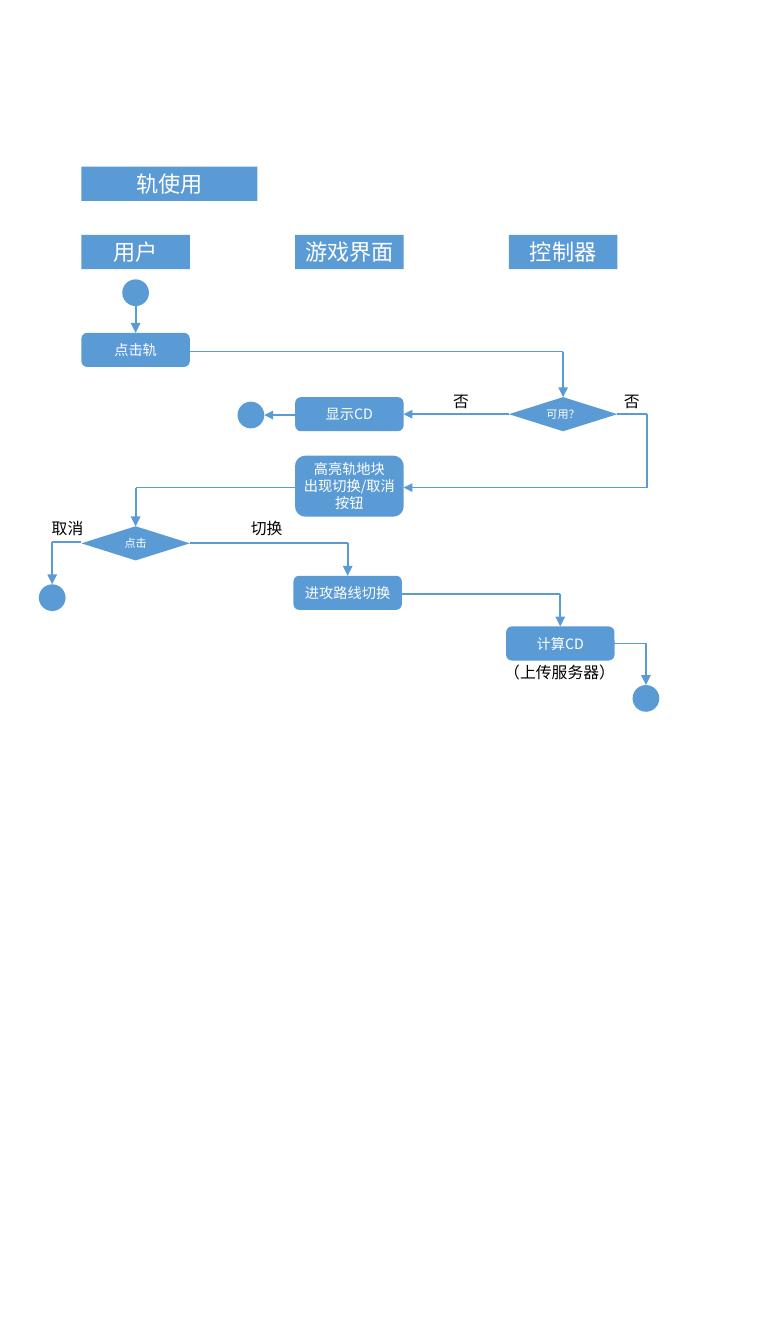
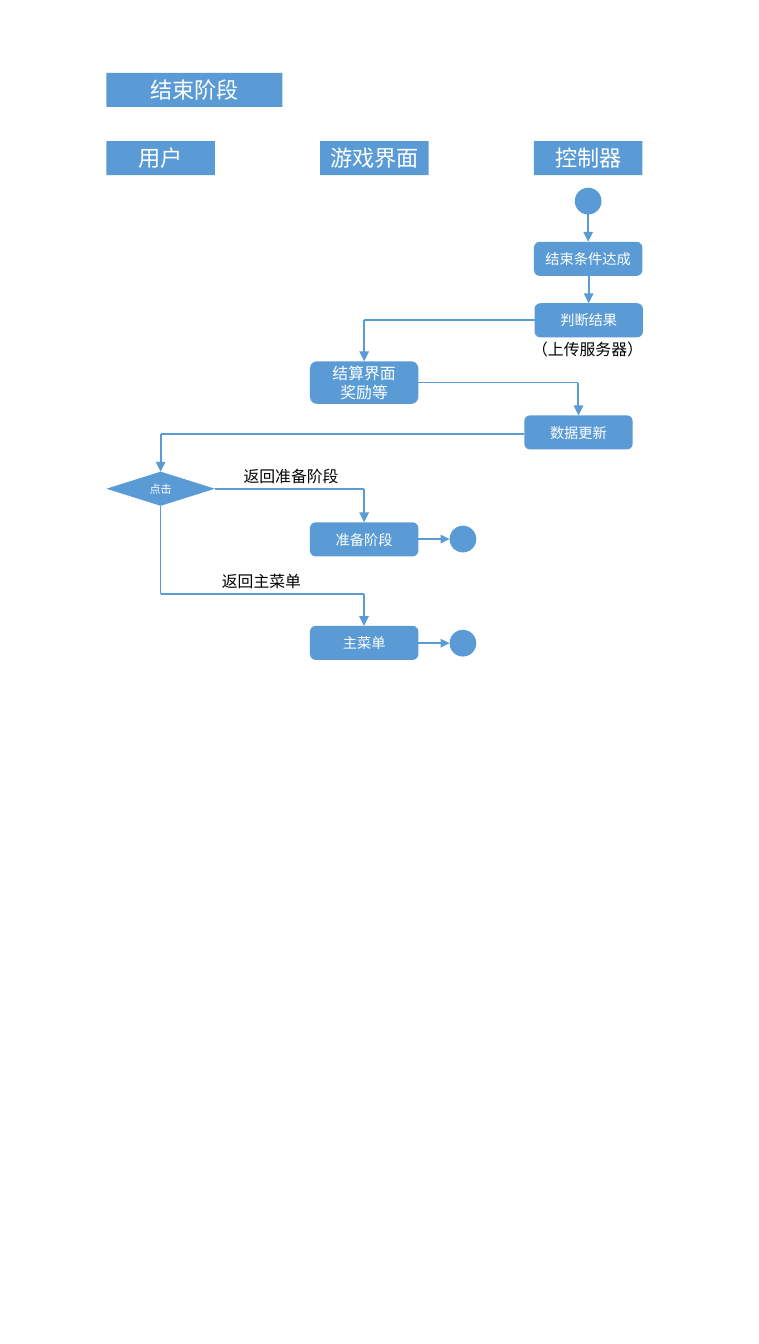
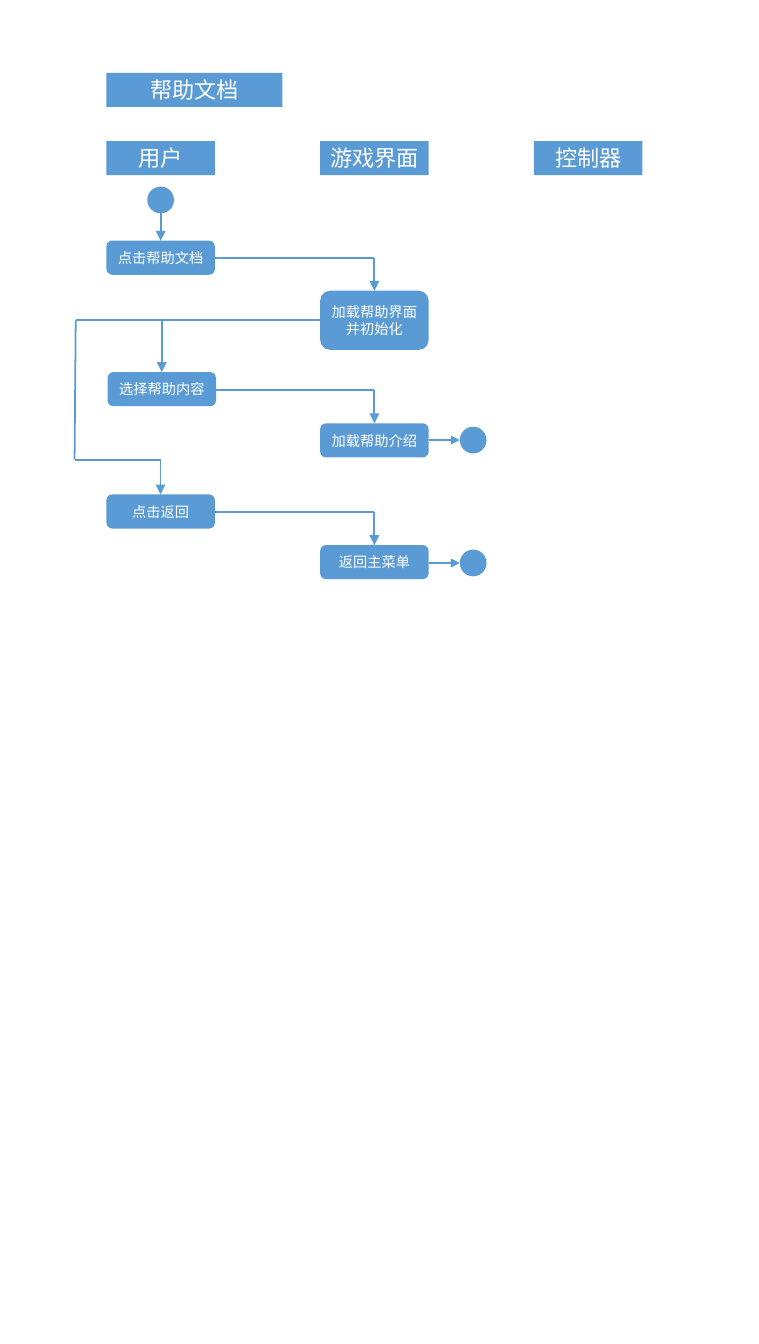
"""Draw three swimlane flow charts on a half-inch grid."""
from dataclasses import dataclass
from typing import NamedTuple, Optional

import lxml.etree
import pptx
import pptx.dml.color
import pptx.enum.shapes
import pptx.enum.text
import pptx.oxml.ns
import pptx.util

Shape = pptx.enum.shapes.MSO_SHAPE
Align = pptx.enum.text.PP_ALIGN
Anchor = pptx.enum.text.MSO_ANCHOR
qn = pptx.oxml.ns.qn


@dataclass(frozen=True)
class Theme:
    font: str = "Noto Sans CJK SC"
    blue: str = "5B9BD5"
    white: str = "FFFFFF"
    black: str = "000000"
    head: float = 28
    note: float = 20
    body: float = 18
    small: float = 14
    line: float = 2.25
    drop: float = 2.5


@dataclass(frozen=True)
class Grid:
    wide: pptx.util.Length = pptx.util.Pt(960)
    tall: pptx.util.Length = pptx.util.Cm(60)
    cell: float = 0.5
    lane: float = 3.81
    pitch: float = 7.51
    row: float = 1.2
    title: float = 6.18
    dot: float = 0.94


THEME = Theme()
GRID = Grid()


class Point(NamedTuple):
    x: float
    y: float


class Spot(NamedTuple):
    x: float
    y: float
    w: float
    h: float


@dataclass(frozen=True)
class Node:
    kind: str
    lane: int
    mid: float
    text: str = ""
    shift: float = 0
    tall: float = GRID.row
    size: float = THEME.body


@dataclass(frozen=True)
class Link:
    start: str
    end: str
    level: Optional[float] = None
    via: tuple[Point, ...] = ()


class Note(NamedTuple):
    left: float
    top: float
    text: str


@dataclass(frozen=True)
class Flow:
    title: str
    left: float
    top: float
    nodes: dict[str, Node]
    links: list[Link]
    notes: list[Note]


LANES = ("用户", "游戏界面", "控制器")
KINDS = {
    "box": Shape.ROUNDED_RECTANGLE,
    "choice": Shape.FLOWCHART_DECISION,
    "dot": Shape.OVAL,
}


def cells(count: float) -> pptx.util.Length:
    return pptx.util.Inches(count * GRID.cell)


def tint(code: str) -> pptx.dml.color.RGBColor:
    return pptx.dml.color.RGBColor.from_string(code)


def write(frame, text: str, *, size: float, color: str = THEME.white,
          align=Align.CENTER, anchor=Anchor.MIDDLE, wrap: bool = True) -> None:
    frame.word_wrap = wrap
    frame.vertical_anchor = anchor
    for turn, part in enumerate(text.split("\n")):
        para = frame.add_paragraph() if turn else frame.paragraphs[0]
        para.alignment = align
        run = para.add_run()
        run.text = part
        run.font.size = pptx.util.Pt(size)
        run.font.color.rgb = tint(color)
        run.font.name = THEME.font
        east = lxml.etree.SubElement(run.font._element, qn("a:ea"))
        east.set("typeface", THEME.font)


def block(slide, kind, spot: Spot, text: str = "", size: float = THEME.head) -> None:
    shape = slide.shapes.add_shape(
        kind, cells(spot.x - spot.w / 2), cells(spot.y - spot.h / 2),
        cells(spot.w), cells(spot.h))
    shape.shadow.inherit = False
    shape.fill.solid()
    shape.fill.fore_color.rgb = tint(THEME.blue)
    shape.line.fill.background()
    if text:
        write(shape.text_frame, text, size=size)


def stroke(slide, start: Point, end: Point, tip: bool) -> None:
    line = slide.shapes.add_connector(
        pptx.enum.shapes.MSO_CONNECTOR.STRAIGHT,
        cells(start.x), cells(start.y), cells(end.x), cells(end.y))
    line.line.color.rgb = tint(THEME.blue)
    drop = tip and start.x == end.x
    line.line.width = pptx.util.Pt(THEME.drop if drop else THEME.line)
    if tip:
        lxml.etree.SubElement(line.line._get_or_add_ln(), qn("a:tailEnd"),
                              type="triangle", w="lg", len="lg")
    lxml.etree.SubElement(line._element.spPr, qn("a:effectLst"))


def center(flow: Flow, lane: int) -> float:
    return flow.left + GRID.lane / 2 + lane * GRID.pitch


def place(flow: Flow, node: Node) -> Spot:
    wide, tall = (GRID.dot, GRID.dot) if node.kind == "dot" else (GRID.lane, node.tall)
    return Spot(center(flow, node.lane) + node.shift, node.mid, wide, tall)


def edge(spot: Spot, goal: Point) -> Point:
    if abs(goal.x - spot.x) < spot.w / 2:
        side = spot.h / 2 if goal.y > spot.y else -spot.h / 2
        return Point(goal.x, spot.y + side)
    side = spot.w / 2 if goal.x > spot.x else -spot.w / 2
    return Point(spot.x + side, goal.y)


def route(link: Link, start: Spot, end: Spot) -> list[Point]:
    via = list(link.via)
    bent = abs(end.x - start.x) > GRID.lane / 2 and abs(end.y - start.y) > 1
    if not via and bent:
        via = [Point(end.x, start.y if link.level is None else link.level)]
    first = edge(start, via[0] if via else Point(end.x, end.y))
    last = edge(end, via[-1] if via else first)
    return [first, *via, last]


def label(slide, note: Note) -> None:
    box = slide.shapes.add_textbox(
        cells(note.left), cells(note.top),
        cells(0.4 + 0.56 * len(note.text)), cells(0.88))
    write(box.text_frame, note.text, size=THEME.note, color=THEME.black,
          align=Align.LEFT, anchor=Anchor.TOP, wrap=False)


def heads(slide, flow: Flow) -> None:
    mid = flow.top + GRID.row / 2
    block(slide, Shape.RECTANGLE,
          Spot(flow.left + GRID.title / 2, mid, GRID.title, GRID.row), flow.title)
    for lane, name in enumerate(LANES):
        block(slide, Shape.RECTANGLE,
              Spot(center(flow, lane), mid + 2 * GRID.row, GRID.lane, GRID.row), name)


def draw(deck, flow: Flow) -> None:
    slide = deck.slides.add_slide(deck.slide_layouts[6])
    heads(slide, flow)
    spots = {name: place(flow, node) for name, node in flow.nodes.items()}
    for name, node in flow.nodes.items():
        block(slide, KINDS[node.kind], spots[name], node.text, node.size)
    for link in flow.links:
        stops = route(link, spots[link.start], spots[link.end])
        for turn in range(len(stops) - 1):
            stroke(slide, stops[turn], stops[turn + 1], turn == len(stops) - 2)
    for note in flow.notes:
        label(slide, note)


TRACK = Flow(
    "轨使用", 2.86, 5.86,
    {
        "start": Node("dot", 0, 10.29),
        "tap": Node("box", 0, 12.3, "点击轨"),
        "free": Node("choice", 2, 14.56, "可用？", size=THEME.small),
        "show": Node("box", 1, 14.56, "显示CD"),
        "wait": Node("dot", 1, 14.59, shift=-3.46),
        "light": Node("box", 1, 17.09, "高亮轨地块\n出现切换/取消按钮", tall=2.14),
        "click": Node("choice", 0, 19.1, "点击", size=THEME.small),
        "quit": Node("dot", 0, 21.01, shift=-2.93),
        "swap": Node("box", 1, 20.84, "进攻路线切换", shift=-0.06),
        "count": Node("box", 2, 22.62, "计算CD", shift=-0.1),
        "end": Node("dot", 2, 24.55, shift=2.91),
    },
    [
        Link("start", "tap"),
        Link("tap", "free", 12.36),
        Link("free", "show"),
        Link("show", "wait"),
        Link("free", "light", via=(Point(22.74, 14.56), Point(22.74, 17.14))),
        Link("light", "click", 17.14),
        Link("click", "quit", 19.06),
        Link("click", "swap", 19.08),
        Link("swap", "count", 20.88),
        Link("count", "end"),
    ],
    [
        Note(15.72, 13.68, "否"),
        Note(21.72, 13.68, "否"),
        Note(1.62, 18.12, "取消"),
        Note(8.62, 18.14, "切换"),
        Note(17.52, 23.2, "（上传服务器）"),
    ],
)

FINISH = Flow(
    "结束阶段", 3.74, 2.56,
    {
        "start": Node("dot", 2, 7.07),
        "done": Node("box", 2, 9.1, "结束条件达成"),
        "judge": Node("box", 2, 11.26, "判断结果", shift=0.02),
        "award": Node("box", 1, 13.45, "结算界面\n奖励等", -0.36, 1.5, THEME.note),
        "update": Node("box", 2, 15.2, "数据更新", shift=-0.34),
        "click": Node("choice", 0, 17.18, "点击", size=THEME.small),
        "ready": Node("box", 1, 18.96, "准备阶段", shift=-0.36),
        "next": Node("dot", 1, 18.95, shift=3.11),
        "menu": Node("box", 1, 22.6, "主菜单", shift=-0.36),
        "end": Node("dot", 1, 22.61, shift=3.11),
    },
    [
        Link("start", "done"),
        Link("done", "judge"),
        Link("judge", "award"),
        Link("award", "update"),
        Link("update", "click", 15.26),
        Link("click", "ready", 17.2),
        Link("ready", "next"),
        Link("click", "menu", via=(Point(5.64, 20.88), Point(12.79, 20.88))),
        Link("menu", "end"),
    ],
    [
        Note(18.5, 11.84, "（上传服务器）"),
        Note(8.36, 16.3, "返回准备阶段"),
        Note(7.6, 20, "返回主菜单"),
    ],
)

HELP = Flow(
    "帮助文档", 3.74, 2.56,
    {
        "start": Node("dot", 0, 7.03),
        "open": Node("box", 0, 9.06, "点击帮助文档"),
        "load": Node("box", 1, 11.26, "加载帮助界面并初始化", tall=2.08),
        "pick": Node("box", 0, 13.68, "选择帮助内容", shift=0.04),
        "intro": Node("box", 1, 15.48, "加载帮助介绍"),
        "stop": Node("dot", 1, 15.47, shift=3.47),
        "back": Node("box", 0, 17.98, "点击返回"),
        "menu": Node("box", 1, 19.76, "返回主菜单"),
        "end": Node("dot", 1, 19.79, shift=3.47),
    },
    [
        Link("start", "open"),
        Link("open", "load"),
        Link("load", "pick"),
        Link("load", "back",
             via=(Point(2.66, 11.26), Point(2.62, 16.16), Point(5.64, 16.16))),
        Link("pick", "intro", 13.72),
        Link("intro", "stop"),
        Link("back", "menu", 18),
        Link("menu", "end"),
    ],
    [],
)


def main() -> None:
    deck = pptx.Presentation()
    deck.slide_width = GRID.wide
    deck.slide_height = GRID.tall
    for flow in (TRACK, FINISH, HELP):
        draw(deck, flow)
    deck.save("out.pptx")


main()
